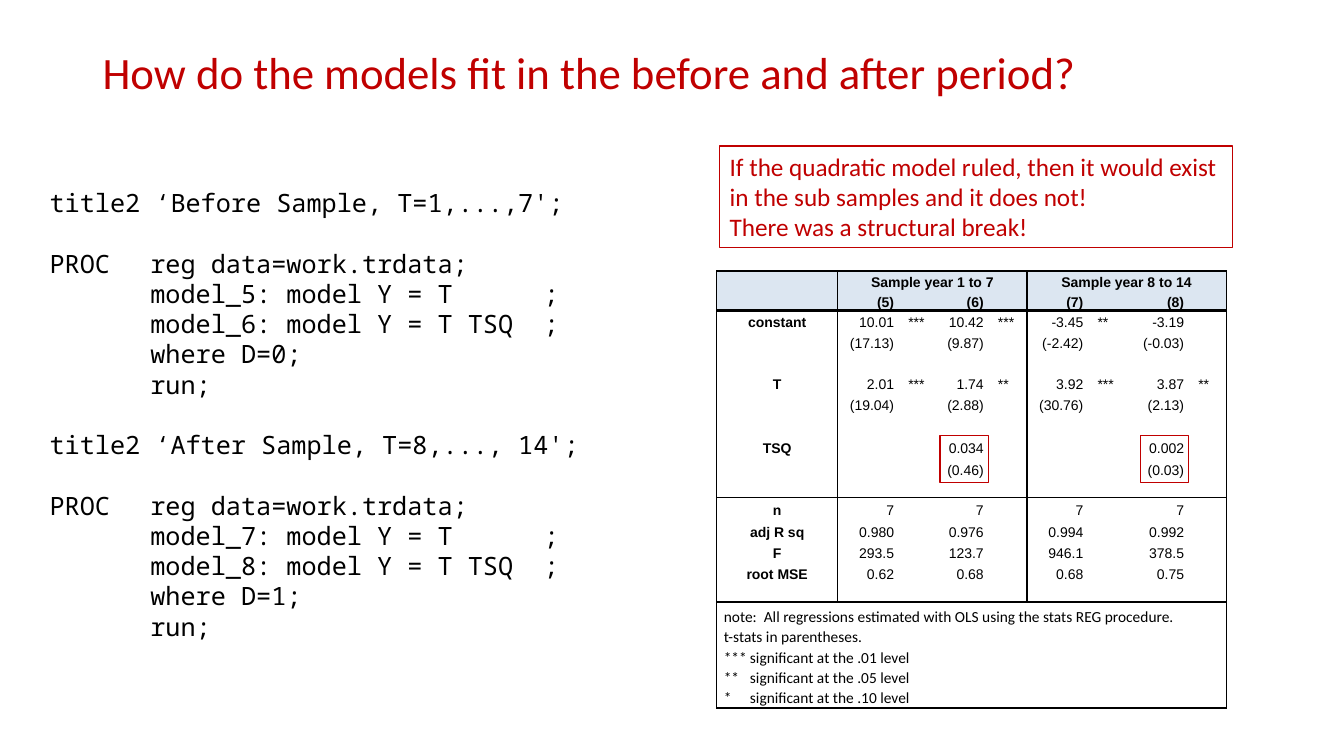
from dataclasses import dataclass

from lxml.etree import SubElement
from pptx import Presentation
from pptx.dml.color import RGBColor
from pptx.enum.shapes import MSO_SHAPE
from pptx.enum.text import MSO_ANCHOR, MSO_AUTO_SIZE, PP_ALIGN
from pptx.oxml.ns import qn
from pptx.util import Cm, Pt


@dataclass(frozen=True)
class Theme:
    """Colours, fonts and type sizes of the slide."""
    accent: str = "C00000"
    ink: str = "000000"
    header: str = "DCE6F1"
    text_font: str = "Calibri"
    code_font: str = "Noto Sans Mono"
    table_font: str = "Arial"
    title_size: float = 32
    body_size: float = 18
    table_size: float = 10
    note_size: float = 11


THEME = Theme()

TITLE = "How do the models fit in the before and after period?"
CALLOUT = [
    "If the quadratic model ruled, then it would exist in the sub samples and it does not!",
    "There was a structural break!",
]
SAMPLES = [
    ("title2 ‘Before Sample, T=1,...,7';", 5, 0),
    ("title2 ‘After Sample, T=8,..., 14';", 7, 1),
]
COLUMN_WIDTHS = [3.05, 1.6, 0.86, 1.4, 0.91, 1.6, 0.91, 1.63, 0.88]
ROW_HEIGHTS = [0.48, 0.51, 0.51, 0.54, 0.54, 0.48] + [0.54] * 4 + [0.48] + [0.54] * 4 + [0.48, 2.67]
HEADER_ROWS = 2
NOTE_ROW = len(ROW_HEIGHTS) - 1
TSQ_ROW = 8
ESTIMATE_COLUMNS = [1, 3, 5, 7]
TSQ_COLUMNS = [3, 7]
VERTICAL_RULES = {0: 1, 1: 1, 5: 1, 9: 1}
HORIZONTAL_RULES = {0: 1, 2: 2.25, 11: 1, 16: 1, 17: 1}
GROUPS = {1: "Sample year 1 to 7", 5: "Sample year 8 to 14"}
ROWS = {
    1: ("", ["(5)", "(6)", "(7)", "(8)"], []),
    2: ("constant", ["10.01", "10.42", "-3.45", "-3.19"], ["***", "***", "**"]),
    3: ("", ["(17.13)", "(9.87)", "(-2.42)", "(-0.03)"], []),
    5: ("T", ["2.01", "1.74", "3.92", "3.87"], ["***", "**", "***", "**"]),
    6: ("", ["(19.04)", "(2.88)", "(30.76)", "(2.13)"], []),
    8: ("TSQ", ["", "0.034", "", "0.002"], []),
    9: ("", ["", "(0.46)", "", "(0.03)"], []),
    11: ("n", ["7", "7", "7", "7"], []),
    12: ("adj R sq", ["0.980", "0.976", "0.994", "0.992"], []),
    13: ("F", ["293.5", "123.7", "946.1", "378.5"], []),
    14: ("root MSE", ["0.62", "0.68", "0.68", "0.75"], []),
}
NOTES = [
    "note:  All regressions estimated with OLS using the stats REG procedure.",
    "t-stats in parentheses.",
    "***\tsignificant at the .01 level",
    "**\tsignificant at the .05 level",
    "*\tsignificant at the .10 level",
]


def color(value):
    """Turn a hexadecimal string into a colour."""
    return RGBColor.from_string(value)


def style(paragraph, name, size, ink, bold=False):
    """Set the font of a whole paragraph."""
    font = paragraph.font
    font.name, font.size, font.bold = name, Pt(size), bold
    font.color.rgb = color(ink)


def write_lines(frame, lines):
    """Write one paragraph per line and return the paragraphs."""
    frame.text = "\n".join(lines)
    return frame.paragraphs


def set_tabs(paragraph, stops):
    """Give a paragraph left tab stops at distances in centimetres."""
    properties = paragraph._p.get_or_add_pPr()
    tabs = properties.makeelement(qn("a:tabLst"), {})
    for stop in stops:
        SubElement(tabs, qn("a:tab"), pos=str(Cm(stop)), algn="l")
    properties.insert_element_before(tabs, "a:defRPr", "a:extLst")


def add_title(slide, left, top, width, height):
    """Place the slide title."""
    title = slide.shapes.title
    title.left, title.top, title.width, title.height = map(Cm, (left, top, width, height))
    frame = title.text_frame
    frame.text = TITLE
    frame.auto_size = MSO_AUTO_SIZE.NONE
    frame.vertical_anchor = MSO_ANCHOR.MIDDLE
    paragraph = frame.paragraphs[0]
    paragraph.alignment = PP_ALIGN.LEFT
    paragraph.line_spacing = 0.9
    style(paragraph, THEME.text_font, THEME.title_size, THEME.accent)


def add_code(slide, left, top, width, height):
    """Place the program listing, one block for each sample."""
    lines = []
    for heading, model, dummy in SAMPLES:
        lines += [
            heading,
            "PROC\treg data=work.trdata;",
            f"\tmodel_{model}: model Y = T\t;",
            f"\tmodel_{model + 1}: model Y = T TSQ\t;",
            f"\twhere D={dummy};",
            "\trun;",
        ]
    frame = slide.shapes.add_textbox(*map(Cm, (left, top, width, height))).text_frame
    frame.word_wrap = True
    for index, paragraph in enumerate(write_lines(frame, lines)):
        style(paragraph, THEME.code_font, THEME.body_size, THEME.ink)
        set_tabs(paragraph, [2.54, 12.45])
        if index and lines[index].startswith(("PROC", "title2")):
            paragraph.space_before = Pt(21.6)


def add_frame(slide, left, top, width, height, line_width):
    """Draw an unfilled rectangle with an accent outline."""
    shape = slide.shapes.add_shape(MSO_SHAPE.RECTANGLE, *map(Cm, (left, top, width, height)))
    shape.shadow.inherit = False
    shape.fill.background()
    shape.line.color.rgb = color(THEME.accent)
    shape.line.width = Pt(line_width)
    return shape


def add_callout(slide, left, top, width, height):
    """Place the framed conclusion."""
    frame = add_frame(slide, left, top, width, height, 0.75).text_frame
    frame.word_wrap = True
    frame.vertical_anchor = MSO_ANCHOR.TOP
    for paragraph in write_lines(frame, CALLOUT):
        paragraph.alignment = PP_ALIGN.LEFT
        style(paragraph, THEME.text_font, THEME.body_size, THEME.accent)


def set_borders(cell, row, column):
    """Rule the four sides of a cell according to its place in the grid."""
    sides = {
        "a:lnL": VERTICAL_RULES.get(column),
        "a:lnR": VERTICAL_RULES.get(column + cell.span_width if cell.is_merge_origin else column + 1),
        "a:lnT": HORIZONTAL_RULES.get(row),
        "a:lnB": HORIZONTAL_RULES.get(row + 1),
    }
    properties = cell._tc.get_or_add_tcPr()
    for tag, points in sides.items():
        line = SubElement(properties, qn(tag), w=str(Pt(points or 0)))
        if points:
            SubElement(SubElement(line, qn("a:solidFill")), qn("a:srgbClr"), val=THEME.ink)
        else:
            SubElement(line, qn("a:noFill"))


def fill_cell(cell, lines, row, column):
    """Write, align and colour one table cell."""
    cell.margin_left = cell.margin_right = Cm(0.18)
    cell.margin_top = cell.margin_bottom = 0
    cell.vertical_anchor = MSO_ANCHOR.BOTTOM
    set_borders(cell, row, column)
    if row < HEADER_ROWS:
        cell.fill.solid()
        cell.fill.fore_color.rgb = color(THEME.header)
    else:
        cell.fill.background()
    is_note = row == NOTE_ROW
    name, size = (THEME.text_font, THEME.note_size) if is_note else (THEME.table_font, THEME.table_size)
    for paragraph in write_lines(cell.text_frame, lines):
        paragraph.line_spacing = 1.07
        if is_note:
            set_tabs(paragraph, [0.66])
        elif row == 0 or column == 0:
            paragraph.alignment = PP_ALIGN.CENTER
        elif column in ESTIMATE_COLUMNS:
            paragraph.alignment = PP_ALIGN.RIGHT
        style(paragraph, name, size, THEME.ink, not is_note and (row < HEADER_ROWS or column == 0))
        if not paragraph.runs:
            SubElement(paragraph._p, qn("a:endParaRPr"), sz=str(int(size * 100)))


def add_results(slide, left, top):
    """Place the regression table and frame its TSQ estimates."""
    size = (sum(COLUMN_WIDTHS), sum(ROW_HEIGHTS))
    table = slide.shapes.add_table(
        len(ROW_HEIGHTS), len(COLUMN_WIDTHS), *map(Cm, (left, top, *size))).table
    table.first_row = table.horz_banding = False
    for column, width in zip(table.columns, COLUMN_WIDTHS):
        column.width = Cm(width)
    for row, height in zip(table.rows, ROW_HEIGHTS):
        row.height = Cm(height)
    texts = {(0, column): [group] for column, group in GROUPS.items()}
    texts[NOTE_ROW, 0] = NOTES
    for row, (label, estimates, stars) in ROWS.items():
        texts[row, 0] = [label]
        for column, estimate in zip(ESTIMATE_COLUMNS, estimates):
            texts[row, column] = [estimate]
        for column, star in zip(ESTIMATE_COLUMNS, stars):
            texts[row, column + 1] = [star]
    for column in GROUPS:
        table.cell(0, column).merge(table.cell(0, column + 3))
    table.cell(NOTE_ROW, 0).merge(table.cell(NOTE_ROW, len(COLUMN_WIDTHS) - 1))
    for row in range(len(ROW_HEIGHTS)):
        for column in range(len(COLUMN_WIDTHS)):
            fill_cell(table.cell(row, column), texts.get((row, column), [""]), row, column)
    for column in TSQ_COLUMNS:
        right = left + sum(COLUMN_WIDTHS[:column + 1]) - 0.06
        add_frame(slide, right - 1.22, top + sum(ROW_HEIGHTS[:TSQ_ROW]), 1.22, 1.19, 1)


def main():
    """Build the slide and save it."""
    presentation = Presentation()
    presentation.slide_width, presentation.slide_height = Cm(33.87), Cm(19.05)
    slide = presentation.slides.add_slide(presentation.slide_layouts[5])
    add_title(slide, 2.33, 1.02, 29.21, 1.75)
    add_code(slide, 1, 4.6, 16.71, 11.79)
    add_results(slide, 18.06, 6.83)
    add_callout(slide, 18.14, 3.68, 12.93, 2.57)
    presentation.save("out.pptx")


if __name__ == "__main__":
    main()
